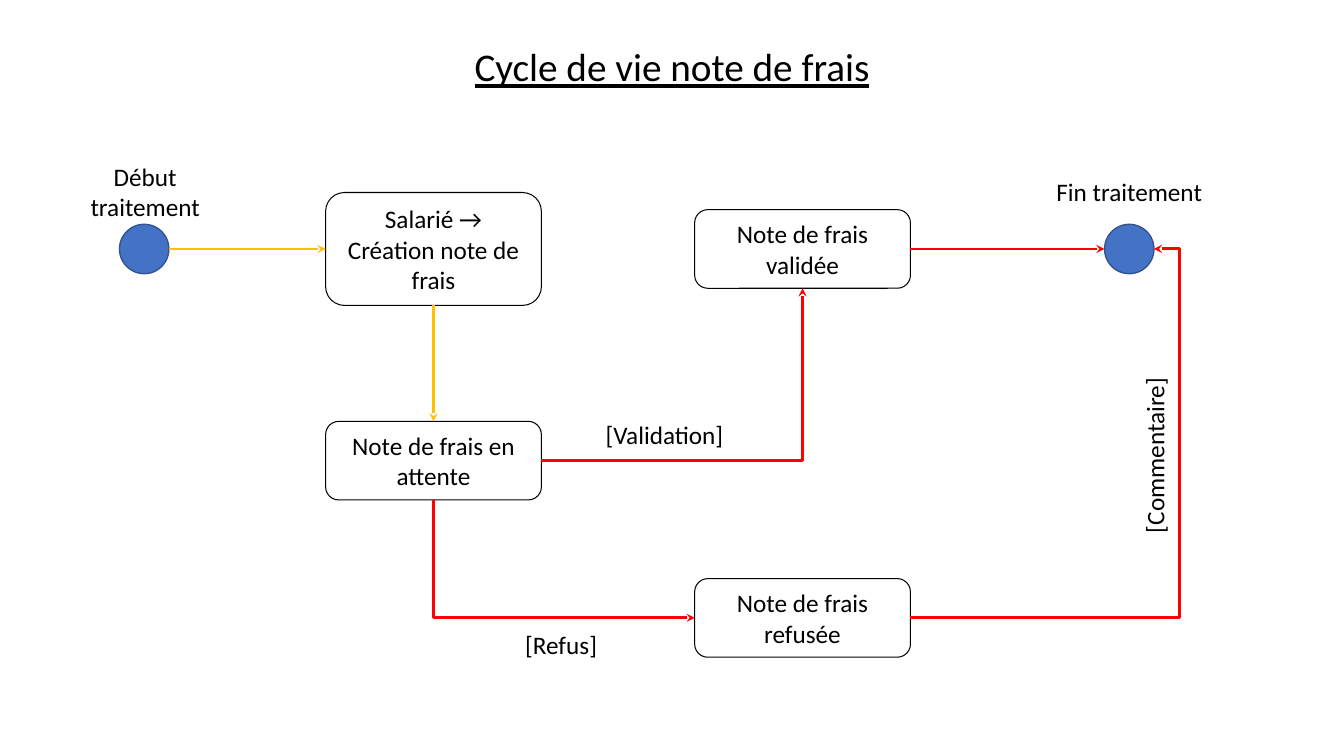
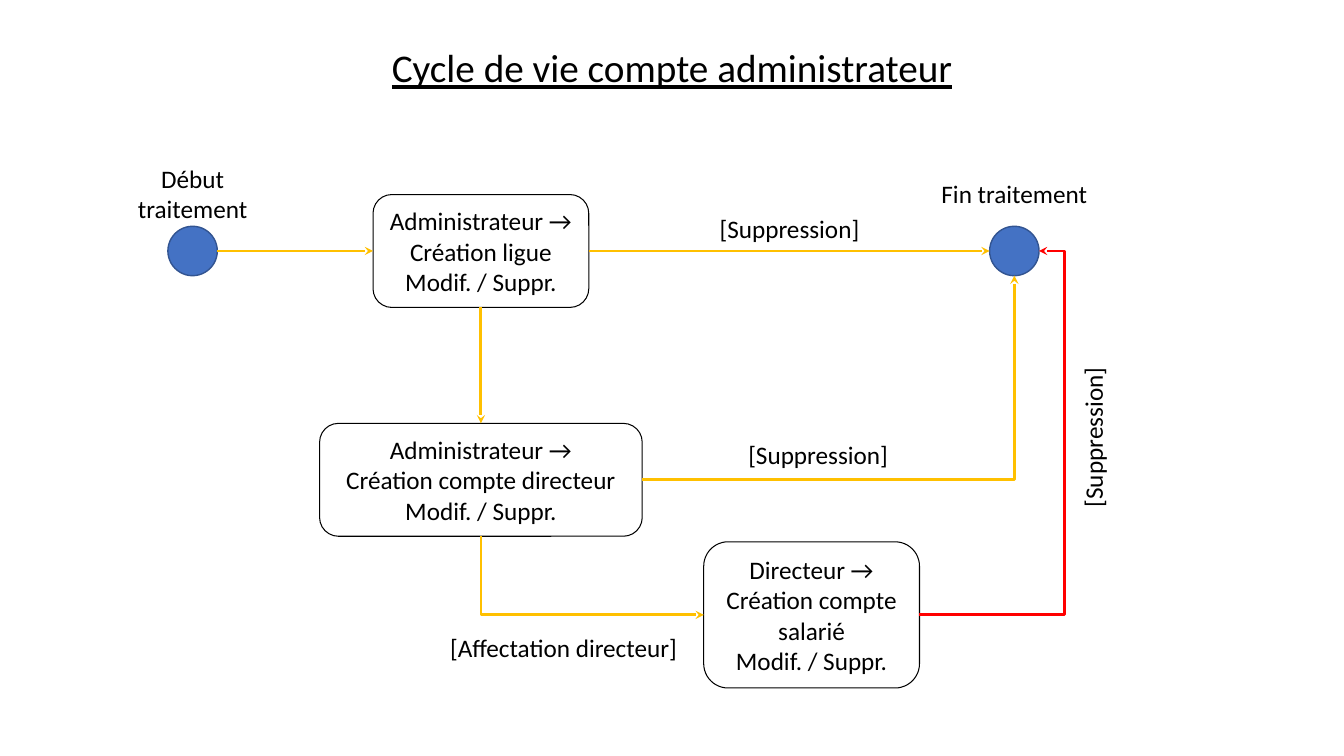
from lxml import etree
from pptx import Presentation
from pptx.dml.color import RGBColor
from pptx.enum.shapes import MSO_CONNECTOR, MSO_SHAPE
from pptx.enum.text import MSO_ANCHOR, MSO_AUTO_SIZE, PP_ALIGN
from pptx.oxml.ns import qn
from pptx.util import Inches, Pt

ELBOW, STRAIGHT = MSO_CONNECTOR.ELBOW, MSO_CONNECTOR.STRAIGHT
OVAL, ROUNDED = MSO_SHAPE.OVAL, MSO_SHAPE.ROUNDED_RECTANGLE
MIDDLE, CENTER, NO_FIT = MSO_ANCHOR.MIDDLE, PP_ALIGN.CENTER, MSO_AUTO_SIZE.NONE

# Sides double as the connection sites of a rectangle
TOP, LEFT, BOTTOM, RIGHT = range(4)

COLORS = {name: RGBColor.from_string(value) for name, value in {
    "text": "000000", "dot": "4472C4", "dot_line": "325491",
    "yellow": "FFC000", "red": "FF0000"}.items()}
FONT = "Calibri"
DOT = 0.49      # diameter of the start and end dots
DETOUR = 0.25   # how far a loop runs past the end dot

# dots: centres; boxes: centre x, centre y, width, height, text
# arrows: from, side, to, side, colour; labels: left, top, width, height, rotation, text
SLIDES = [
    {
        "title": ("Cycle de vie note de frais", 0.37, 4.44),
        "dots": {"start": (1.43, 2.47), "end": (11.2, 2.47)},
        "boxes": {
            "create": (4.3, 2.47, 2.14, 1.12, "Salarié → Création note de frais"),
            "pending": (4.3, 4.57, 2.14, 0.78, "Note de frais en attente"),
            "approved": (7.96, 2.47, 2.14, 0.78, "Note de frais validée"),
            "refused": (7.96, 6.13, 2.14, 0.78, "Note de frais refusée"),
        },
        "arrows": [
            ("start", RIGHT, "create", LEFT, "yellow"),
            ("create", BOTTOM, "pending", TOP, "yellow"),
            ("pending", RIGHT, "approved", BOTTOM, "red"),
            ("pending", BOTTOM, "refused", LEFT, "red"),
            ("approved", RIGHT, "end", LEFT, "red"),
            ("refused", RIGHT, "end", RIGHT, "red"),
        ],
        "labels": [
            (0.53, 1.55, 1.82, 0.71, 0, "Début traitement"),
            (10.29, 1.7, 1.82, 0.4, 0, "Fin traitement"),
            (5.68, 4.11, 1.82, 0.4, 0, "[Validation]"),
            (4.99, 6.19, 1.15, 0.4, 0, "[Refus]"),
            (10.54, 4.32, 1.82, 0.4, 270, "[Commentaire]"),
        ],
    },
    {
        "title": ("Cycle de vie compte administrateur", 0.38, 5.84),
        "dots": {"start": (1.91, 2.49), "end": (10.06, 2.49)},
        "boxes": {
            "league": (4.77, 2.49, 2.14, 1.12,
                       "Administrateur →\nCréation ligue\nModif. / Suppr."),
            "director": (4.77, 4.76, 3.2, 1.12,
                         "Administrateur →\nCréation compte directeur\nModif. / Suppr."),
            "employee": (8.05, 6.1, 2.14, 1.45,
                         "Directeur →\nCréation compte salarié\nModif. / Suppr."),
        },
        "arrows": [
            ("start", RIGHT, "league", LEFT, "yellow"),
            ("league", BOTTOM, "director", TOP, "yellow"),
            ("league", RIGHT, "end", LEFT, "yellow"),
            ("director", RIGHT, "end", BOTTOM, "yellow"),
            ("director", BOTTOM, "employee", LEFT, "yellow"),
            ("employee", RIGHT, "end", RIGHT, "red"),
        ],
        "labels": [
            (1, 1.57, 1.82, 0.71, 0, "Début traitement"),
            (9.15, 1.72, 1.82, 0.4, 0, "Fin traitement"),
            (6.92, 2.07, 1.82, 0.4, 0, "[Suppression]"),
            (7.03, 4.31, 2.17, 0.4, 0, "[Suppression]"),
            (4.26, 6.22, 2.66, 0.4, 0, "[Affectation directeur]"),
            (9.93, 4.14, 1.82, 0.4, 270, "[Suppression]"),
        ],
    },
]


def set_text(sp, text, size=18, underline=False):
    tf = sp.text_frame
    tf.text = text
    tf.word_wrap = True
    tf.auto_size = NO_FIT
    for p in tf.paragraphs:
        p.alignment = CENTER
        for r in p.runs:
            r.font.name, r.font.size = FONT, Pt(size)
            r.font.underline = underline
            r.font.color.rgb = COLORS["text"]


def add_arrow(s, a, a_side, b, b_side, color):
    (x1, y1), (x2, y2) = [
        (sp.left + sp.width * (side != LEFT) // (1 if side == RIGHT else 2)
         if side != LEFT else sp.left,
         sp.top + (0, sp.height // 2, sp.height, sp.height // 2)[side])
        for sp, side in ((a, a_side), (b, b_side))]
    straight = abs(a_side - b_side) == 2
    c = s.shapes.add_connector(STRAIGHT if straight else ELBOW, x1, y1, x2, y2)
    spPr = c._element.spPr
    geom = spPr.find(qn("a:prstGeom"))
    if straight:
        if a.auto_shape_type == ROUNDED:
            c.begin_connect(a, a_side)
        if b.auto_shape_type == ROUNDED:
            c.end_connect(b, b_side)
    elif a_side == b_side:
        # Loop that passes the end dot and comes back to it
        adj = round(100000 * (x2 - x1 + Inches(DETOUR)) / (x2 - x1))
        etree.SubElement(geom.find(qn("a:avLst")), qn("a:gd"),
                         name="adj1", fmla=f"val {adj}")
    else:
        geom.set("prst", "bentConnector2")
        if a_side == BOTTOM:
            # Down first, then right: the bend is turned a quarter
            w, h = y2 - y1, x2 - x1
            c.left, c.top = (x1 + x2 - w) // 2, (y1 + y2 - h) // 2
            c.width, c.height = w, h
            xfrm = spPr.find(qn("a:xfrm"))
            xfrm.set("rot", "16200000")
            xfrm.set("flipH", "1")
    c.line.width = Pt(2)
    c.line.color.rgb = COLORS[color]
    etree.SubElement(spPr.find(qn("a:ln")), qn("a:tailEnd"), type="stealth")
    etree.SubElement(spPr, qn("a:effectLst"))


prs = Presentation()
prs.slide_width, prs.slide_height = Inches(13.33), Inches(7.5)

for data in SLIDES:
    s = prs.slides.add_slide(prs.slide_layouts[5])

    # Title
    text, top, width = data["title"]
    sp = s.shapes.title
    sp.left, sp.top = (prs.slide_width - Inches(width)) // 2, Inches(top)
    sp.width, sp.height = Inches(width), Inches(0.57)
    set_text(sp, text, 28, True)

    # Start and end dots
    nodes = {}
    for name, (x, y) in data["dots"].items():
        sp = s.shapes.add_shape(OVAL, Inches(x - DOT / 2), Inches(y - DOT / 2),
                                Inches(DOT), Inches(DOT))
        sp.shadow.inherit = False
        sp.fill.solid()
        sp.fill.fore_color.rgb = COLORS["dot"]
        sp.line.color.rgb = COLORS["dot_line"]
        sp.line.width = Pt(1)
        nodes[name] = sp

    # State boxes
    for name, (x, y, w, h, text) in data["boxes"].items():
        sp = s.shapes.add_shape(ROUNDED, Inches(x - w / 2), Inches(y - h / 2),
                                Inches(w), Inches(h))
        sp.shadow.inherit = False
        sp.fill.background()
        sp.line.color.rgb = COLORS["text"]
        sp.line.width = Pt(0.75)
        set_text(sp, text)
        sp.text_frame.vertical_anchor = MIDDLE
        nodes[name] = sp

    # Transitions
    for start, start_side, end, end_side, color in data["arrows"]:
        add_arrow(s, nodes[start], start_side, nodes[end], end_side, color)

    # Labels
    for x, y, w, h, rotation, text in data["labels"]:
        sp = s.shapes.add_textbox(Inches(x), Inches(y), Inches(w), Inches(h))
        sp.rotation = rotation
        set_text(sp, text)

prs.save("out.pptx")
